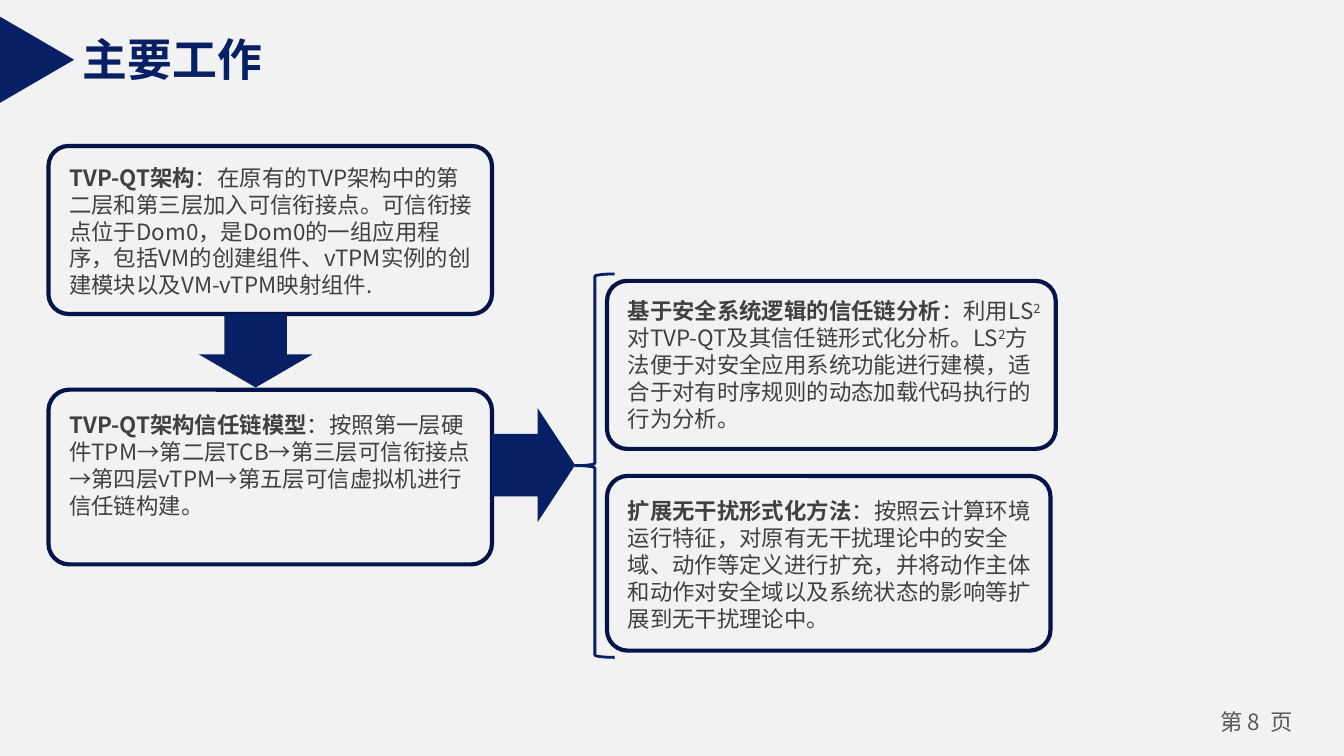
from lxml import etree
from pptx import Presentation
from pptx import util as u
from pptx.dml.color import RGBColor
from pptx.enum import shapes, text
from pptx.oxml import ns

Pt = u.Pt
KIND = shapes.MSO_SHAPE
NAVY = RGBColor(0x07, 0x1F, 0x65)
EDGE = RGBColor(0x04, 0x14, 0x48)
PALE = RGBColor(0xF2, 0xF2, 0xF2)
DARK = RGBColor(0x40, 0x40, 0x40)
GRAY = RGBColor(0x59, 0x59, 0x59)
SANS = "Noto Sans CJK SC"


class Deck:
    def __init__(self, slide):
        self.slide = slide

    def shape(self, kind, box, fill=None, line=None, width=0, adj=(), turn=0):
        item = self.slide.shapes.add_shape(kind, *map(Pt, box))
        item.shadow.inherit = False
        item.rotation = turn
        for i, val in enumerate(adj):
            item.adjustments[i] = val
        if fill is None:
            item.fill.background()
        else:
            item.fill.solid()
            item.fill.fore_color.rgb = fill
        if line is None:
            item.line.fill.background()
        else:
            item.line.color.rgb = line
            item.line.width = Pt(width)
        return item

    def label(self, box, parts, size=12, color=DARK, face=SANS, wrap=True):
        """Each part is (words, style); style is "", "bold" or "super"."""
        frame = self.slide.shapes.add_textbox(*map(Pt, box)).text_frame
        frame.word_wrap = wrap
        para = frame.paragraphs[0]
        # Keep punctuation inside the right margin
        para._p.get_or_add_pPr().set("hangingPunct", "0")
        for words, style in parts:
            run = para.add_run()
            run.text = words
            font = run.font
            font.name, font.size, font.bold = face, Pt(size), style == "bold"
            font.color.rgb = color
            props = run._r.get_or_add_rPr()
            etree.SubElement(props, ns.qn("a:ea")).set("typeface", SANS)
            if style == "super":
                props.set("baseline", "30000")
        return frame

    def card(self, box, drop, tall, parts):
        left, top, wide, _ = box
        self.shape(KIND.ROUNDED_RECTANGLE, box, PALE, EDGE, 2.25, [0.119])
        self.label((left + 4, top + drop, wide - 4, tall), parts)


def main():
    prs = Presentation()
    prs.slide_width, prs.slide_height = Pt(720), Pt(405)
    deck = Deck(prs.slides.add_slide(prs.slide_layouts[6]))
    back = deck.slide.background.fill
    back.solid()
    back.fore_color.rgb = PALE

    # Page number and title
    page = deck.label((640.8, 376.5, 64.8, 21.6), [("第 8  页", "")], color=GRAY)
    page.margin_left = page.margin_right = Pt(5.8)
    page.margin_top = page.margin_bottom = Pt(2.9)
    page.paragraphs[0].alignment = text.PP_ALIGN.CENTER
    title = deck.label((37.4, 13.7, 114, 36), [("主要工作", "bold")],
                       24, NAVY, "Arial")
    title.margin_right = 0
    deck.shape(KIND.ISOSCELES_TRIANGLE, (-3.1, 12.2, 46, 39.6), NAVY, turn=90)

    # Left column: architecture and its trust chain model
    left, right, wide = 26, 325.2, 237.6
    deck.card((left, 78.2, wide, 90), 6.1, 79, [
        ("TVP-QT架构", "bold"),
        ("：在原有的TVP架构中的第二层和第三层加入可信衔接点。可信衔接点位于Dom0，"
         "是Dom0的一组应用程序，包括VM的创建组件、vTPM实例的创建模块以及"
         "VM-vTPM映射组件.", "")])
    deck.card((left, 208.8, wide, 93.6), 7.9, 65, [
        ("TVP-QT架构信任链模型", "bold"),
        ("：按照第一层硬件TPM→第二层TCB→第三层可信衔接点→第四层vTPM"
         "→第五层可信虚拟机进行信任链构建。", "")])

    # Right column: analysis and method
    deck.card((right, 150.5, 240.4, 90), 5.3, 79, [
        ("基于安全系统逻辑的信任链分析", "bold"),
        ("：利用LS", ""), ("2", "super"),
        ("对TVP-QT及其信任链形式化分析。LS", ""), ("2", "super"),
        ("方法便于对安全应用系统功能进行建模，适合于对有时序规则的动态加载代码"
         "执行的行为分析。", "")])
    deck.card((right, 255, wide, 93.6), 7.9, 79, [
        ("扩展无干扰形式化方法", "bold"),
        ("：按照云计算环境运行特征，对原有无干扰理论中的安全域、动作等定义进行扩充，"
         "并将动作主体和动作对安全域以及系统状态的影响等扩展到无干扰理论中。", "")])

    # Arrows and brace
    deck.shape(KIND.DOWN_ARROW, (106.5, 168.2, 61, 39.4), NAVY, adj=(0.55, 0.45))
    deck.shape(KIND.RIGHT_ARROW, (263.5, 218.7, 44.6, 61), NAVY, adj=(0.55, 0.45))
    deck.shape(KIND.LEFT_BRACE, (308.1, 146.8, 21.2, 205.4), line=NAVY,
               width=1.5, adj=(0.06, 0.5))

    prs.save("out.pptx")


if __name__ == "__main__":
    main()
